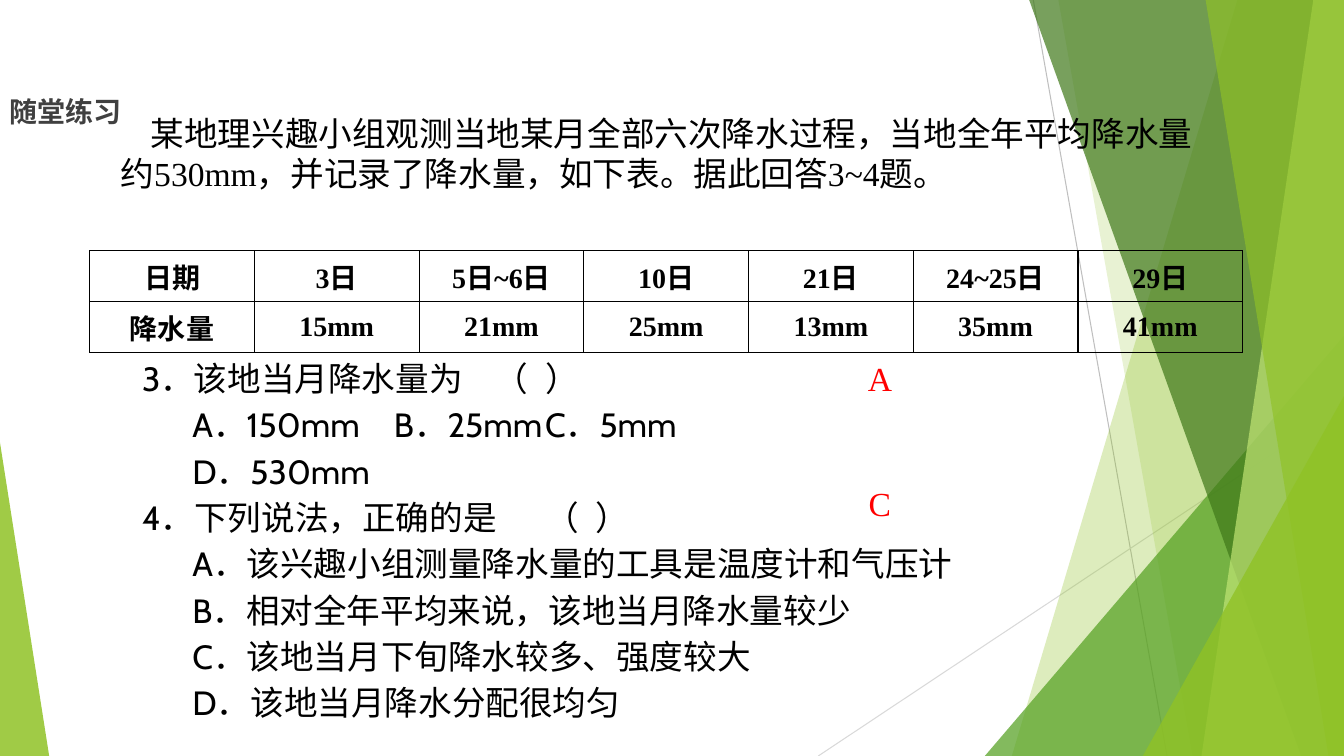
from dataclasses import dataclass

from lxml.etree import SubElement
from pptx import Presentation
from pptx.dml.color import RGBColor
from pptx.enum.shapes import MSO_CONNECTOR as Link, MSO_SHAPE as Kind
from pptx.enum.text import MSO_ANCHOR as Anchor, MSO_AUTO_SIZE as Fit, PP_ALIGN as Align
from pptx.oxml.ns import qn
from pptx.util import Cm, Pt

WIDE, HIGH = 33.87, 19.05
SERIF, SANS, HAN = "Times New Roman", "Cabin", "Noto Sans CJK SC"
STOPS = [1.9, 8.43, 14.15, 15.65, 17.3]


@dataclass
class Ray:
    left: float
    top: float
    right: float
    foot: float
    hue: str


@dataclass
class Pane:
    top: float
    foot: float
    hue: str
    alpha: int


@dataclass
class Wedge:
    left: float
    top: float
    width: float
    apex: float
    hue: str
    alpha: int


@dataclass
class Note:
    left: float
    top: float
    width: float
    height: float
    lines: list[str]
    font: str = SERIF
    size: int = 24
    hue: str = "000000"
    bold: bool = False
    wrap: bool = True
    indent: float = 0
    space: float = 1
    stops: tuple = ()


DECOR = [
    Ray(26.04, 0, 29.41, HIGH, "BFBFBF"),
    Ray(WIDE, 10.24, 20.62, HIGH, "D9D9D9"),
    Pane(31.19, 25.5, "90C226", 30),
    Pane(26.67, 30.05, "90C226", 20),
    Wedge(24.82, 8.46, 9.05, 1, "54A021", 72),
    Pane(25.93, 32.79, "3F7819", 70),
    Pane(33.1, 30.28, "C0E474", 70),
    Pane(30.38, 33.48, "90C226", 65),
    Wedge(28.8, 9.98, 5.07, 1, "90C226", 80),
    Wedge(0, 11.15, 1.24, 0, "90C226", 85),
]

RAIN = [
    ["日期", "3日", "5日~6日", "10日", "21日", "24~25日", "29日"],
    ["降水量", "15mm", "21mm", "25mm", "13mm", "35mm", "41mm"],
]

TASKS = [
    "3．该地当月降水量为\t（\t）",
    "\tA．150mm\tB．25mm\tC．5mm",
    "\tD．530mm",
    "4．下列说法，正确的是\t（\t）",
    "\tA．该兴趣小组测量降水量的工具是温度计和气压计",
    "\tB．相对全年平均来说，该地当月降水量较少",
    "\tC．该地当月下旬降水较多、强度较大",
    "\tD．该地当月降水分配很均匀",
]

INTRO = ("某地理兴趣小组观测当地某月全部六次降水过程，当地全年平均降水量"
         "约530mm，并记录了降水量，如下表。据此回答3~4题。")

NOTES = [
    Note(2.79, 2.72, 28.22, 2.31, [INTRO], indent=0.76),
    Note(3.33, 8.74, 29.06, 9.6, TASKS, SANS, space=1.15, stops=tuple(STOPS)),
    Note(21.62, 8.89, 1.14, 1.27, ["A"], hue="FF0000", wrap=False),
    Note(21.64, 12.04, 1.09, 1.27, ["C"], hue="FF0000", wrap=False),
    Note(0, 2.26, 3.35, 1.12, ["随堂练习"], HAN, 20, "404040", True, False),
]


def tint(hue: str) -> RGBColor:
    return RGBColor.from_string(hue)


def paint(shape, hue: str, alpha: int) -> None:
    shape.shadow.inherit = False
    shape.line.fill.background()
    shape.fill.solid()
    shape.fill.fore_color.rgb = tint(hue)
    tone = next(shape._element.spPr.iter(qn("a:srgbClr")))
    SubElement(tone, qn("a:alpha"), val=str(alpha * 1000))


def draw_ray(slide, ray: Ray) -> None:
    line = slide.shapes.add_connector(
        Link.STRAIGHT, Cm(ray.left), Cm(ray.top), Cm(ray.right), Cm(ray.foot))
    line.line.color.rgb = tint(ray.hue)
    line.line.width = Pt(0.75)
    SubElement(line._element.spPr, qn("a:effectLst"))


def draw_pane(slide, pane: Pane) -> None:
    form = slide.shapes.build_freeform(Cm(pane.top), Cm(-0.02))
    form.add_line_segments([
        (Cm(WIDE), Cm(-0.02)), (Cm(WIDE), Cm(HIGH)), (Cm(pane.foot), Cm(HIGH))])
    paint(form.convert_to_shape(), pane.hue, pane.alpha)


def draw_wedge(slide, wedge: Wedge) -> None:
    shape = slide.shapes.add_shape(
        Kind.ISOSCELES_TRIANGLE, Cm(wedge.left), Cm(wedge.top),
        Cm(wedge.width), Cm(HIGH - wedge.top))
    shape.adjustments[0] = wedge.apex
    paint(shape, wedge.hue, wedge.alpha)


def style(para, name: str, size: int, hue: str, bold: bool) -> None:
    for run in para.runs:
        font = run.font
        font.name, font.size, font.bold = name, Pt(size), bold
        font.color.rgb = tint(hue)
        SubElement(run._r.get_or_add_rPr(), qn("a:ea"), typeface=HAN)


def draw_note(slide, note: Note) -> None:
    box = slide.shapes.add_textbox(
        Cm(note.left), Cm(note.top), Cm(note.width), Cm(note.height))
    frame = box.text_frame
    frame.text = "\n".join(note.lines)
    frame.word_wrap = note.wrap
    frame.auto_size = Fit.SHAPE_TO_FIT_TEXT
    for para in frame.paragraphs:
        para.line_spacing = note.space
        props = para._p.get_or_add_pPr()
        props.set("indent", str(Cm(note.indent)))
        if note.stops:
            tabs = SubElement(props, qn("a:tabLst"))
            first = 0 if para.text.startswith("\t") else 3
            for stop in note.stops[first:]:
                SubElement(tabs, qn("a:tab"), pos=str(Cm(stop)), algn="l")
        style(para, note.font, note.size, note.hue, note.bold)


def edge(cell) -> None:
    props = cell._tc.get_or_add_tcPr()
    for side in ("lnL", "lnR", "lnT", "lnB"):
        line = SubElement(props, qn(f"a:{side}"), w=str(Pt(1)))
        fill = SubElement(line, qn("a:solidFill"))
        SubElement(fill, qn("a:srgbClr"), val="000000")


def draw_table(slide, rows: list[list[str]]) -> None:
    table = slide.shapes.add_table(
        len(rows), len(rows[0]), Cm(2.26), Cm(6.32), Cm(29.06), Cm(2.2)).table
    table.first_row = table.horz_banding = False
    for row, words in zip(table.rows, rows):
        for cell, word in zip(row.cells, words):
            cell.text_frame.text = word
            cell.vertical_anchor = Anchor.MIDDLE
            cell.margin_left = cell.margin_right = Cm(0.33)
            cell.margin_top = cell.margin_bottom = Cm(0.13)
            edge(cell)
            cell.fill.background()
            para = cell.text_frame.paragraphs[0]
            para.alignment = Align.CENTER
            style(para, SERIF, 20, "000000", True)


deck = Presentation()
deck.slide_width, deck.slide_height = Cm(WIDE), Cm(HIGH)
slide = deck.slides.add_slide(deck.slide_layouts[6])
DRAW = {Ray: draw_ray, Pane: draw_pane, Wedge: draw_wedge}
for item in DECOR:
    DRAW[type(item)](slide, item)
draw_table(slide, RAIN)
for note in NOTES:
    draw_note(slide, note)
deck.save("out.pptx")
